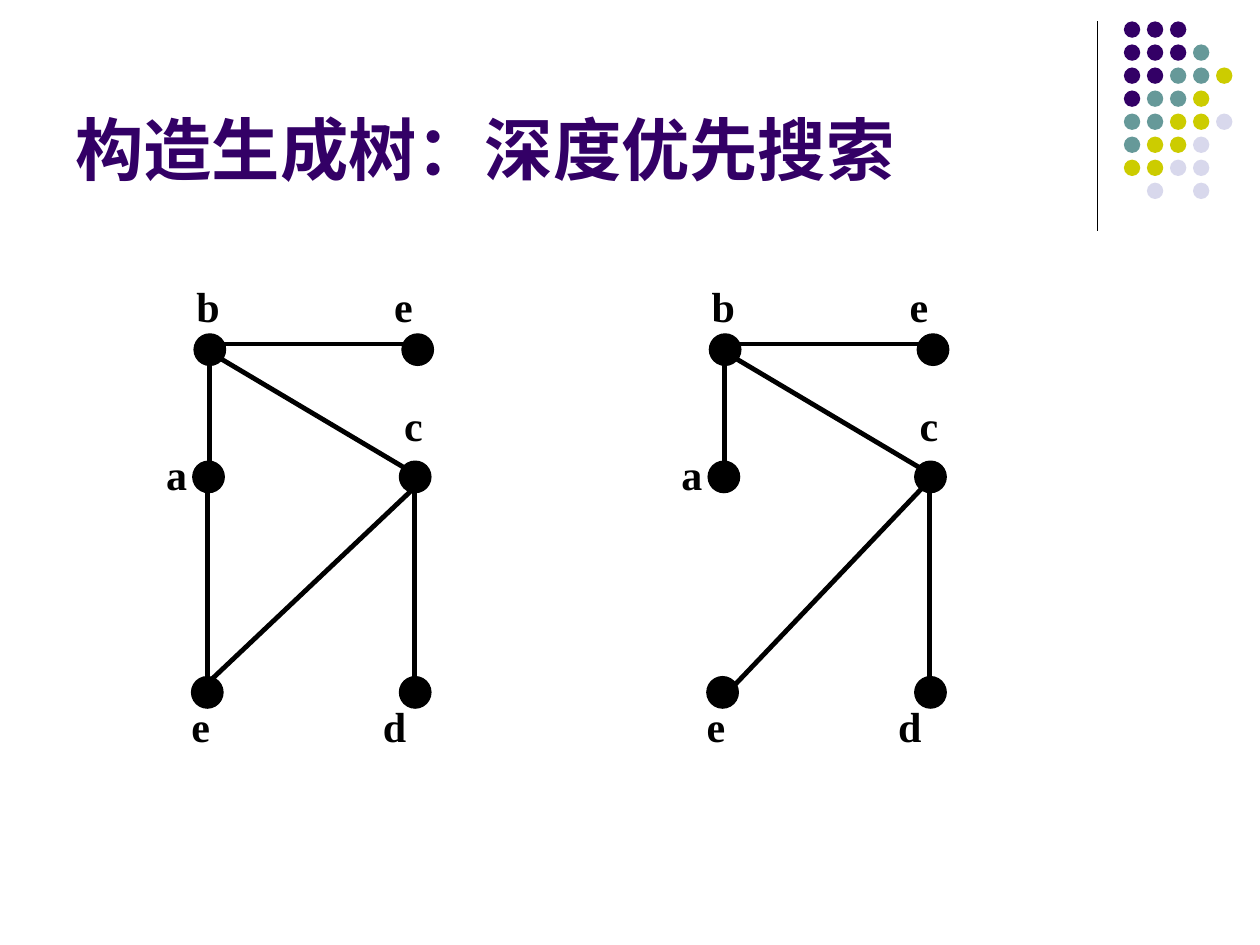
from pptx import Presentation
from pptx.dml.color import RGBColor
from pptx.enum.shapes import MSO_CONNECTOR, MSO_SHAPE
from pptx.enum.text import MSO_ANCHOR
from pptx.oxml.ns import qn
from pptx.util import Inches, Pt

OVAL = MSO_SHAPE.OVAL
LINE = MSO_CONNECTOR.STRAIGHT
TOP, BOTTOM = MSO_ANCHOR.TOP, MSO_ANCHOR.BOTTOM
BLACK, PURPLE = "000000", "330066"


def color(code):
    return RGBColor.from_string(code)


class Board:
    """Holds the style and the current slide."""
    serif, sans = "Times New Roman", "Arial"
    thin, thick = 0.75, 2.75

    def __init__(self, slide):
        self.shapes = slide.shapes

    def line(self, start, end, width):
        item = self.shapes.add_connector(LINE, *map(Inches, start + end))
        item.line.color.rgb = color(BLACK)
        item.line.width = Pt(width)
        props = item._element.spPr
        props.append(props.makeelement(qn("a:effectLst"), {}))

    def dot(self, x, y, w, h, fill, edge=False):
        item = self.shapes.add_shape(OVAL, *map(Inches, (x, y, w, h)))
        item.shadow.inherit = False
        item.fill.solid()
        item.fill.fore_color.rgb = color(fill)
        if edge:
            item.line.color.rgb = color(BLACK)
            item.line.width = Pt(self.thin)
        else:
            item.line.fill.background()

    def text(self, words, x, y, w, h, size, font, ink=BLACK, anchor=TOP):
        item = self.shapes.add_textbox(*map(Inches, (x, y, w, h)))
        frame = item.text_frame
        frame.word_wrap = True
        frame.vertical_anchor = anchor
        frame.text = words
        face = frame.paragraphs[0].font
        face.size, face.name, face.bold = Pt(size), font, True
        face.color.rgb = color(ink)


# Corner pattern: one letter per dot, a blank for a gap
INKS = {"P": PURPLE, "T": "669999", "Y": "CCCC00", "L": "D8D8EC"}
ROWS = ["PPP", "PPPT", "PPTTY", "PTTY", "TTYYL", "TYYL", "YYLL", " L L"]
PITCH = 1.28 / 7

# Graph parts, placed for the left graph: dot corner, label corner
NODES = [
    ("b", (1.54, 2.65), (1.46, 2.18)),
    ("e", (3.19, 2.65), (3.03, 2.18)),
    ("a", (1.53, 3.66), (1.22, 3.51)),
    ("c", (3.17, 3.66), (3.11, 3.12)),
    ("e", (1.52, 5.37), (1.42, 5.51)),
    ("d", (3.17, 5.37), (2.94, 5.51)),
]
TREE = [
    ((1.66, 3.68), (1.66, 2.88)),  # a to b
    ((1.69, 2.81), (3.29, 3.76)),  # b to c
    ((3.27, 2.73), (1.77, 2.73)),  # b to upper e
    ((3.29, 3.87), (3.29, 5.4)),   # c to d
]
FULL = TREE + [
    ((3.29, 3.87), (1.65, 5.42)),  # c to lower e
    ((1.65, 3.87), (1.65, 5.4)),   # a to lower e
]
SPAN = TREE + [((3.27, 3.83), (1.7, 5.48))]


def graph(board, edges, shift):
    for (x1, y1), (x2, y2) in edges:
        board.line((x1 + shift, y1), (x2 + shift, y2), board.thick)
    for name, (x, y), (left, top) in NODES:
        board.dot(x + shift, y, 0.25, 0.25, BLACK, edge=True)
        board.text(name, left + shift, top, 0.55, 0.5, 24, board.serif)


def main():
    deck = Presentation()
    deck.slide_width, deck.slide_height = Inches(10), Inches(7.5)
    board = Board(deck.slides.add_slide(deck.slide_layouts[6]))

    # Corner rule and dots
    board.line((8.71, 0.17), (8.71, 1.83), board.thin)
    for row, marks in enumerate(ROWS):
        for col, mark in enumerate(marks):
            if mark in INKS:
                board.dot(8.92 + col * PITCH, 0.17 + row * PITCH,
                          0.13, 0.13, INKS[mark])

    # Title
    board.text("构造生成树：深度优先搜索", 0.5, 0.13, 8.25, 1.42, 39,
               board.sans, PURPLE, BOTTOM)

    # Graph and its spanning tree
    graph(board, FULL, 0)
    graph(board, SPAN, 4.09)

    deck.save("out.pptx")


if __name__ == "__main__":
    main()
